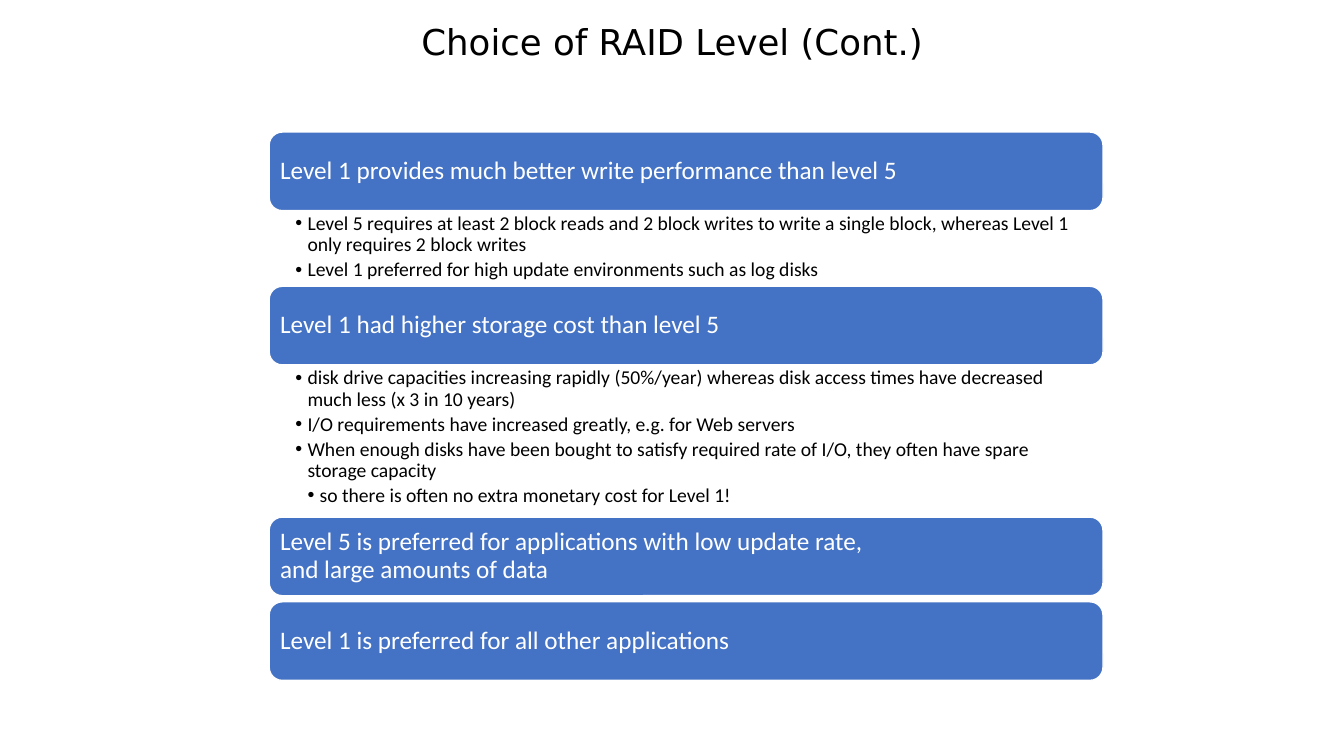
from pptx import Presentation
from pptx.dml.color import RGBColor as RGB
from pptx.enum.shapes import MSO_SHAPE as Shape
from pptx.enum.text import MSO_ANCHOR as Anchor, MSO_AUTO_SIZE as Fit, PP_ALIGN as Align
from pptx.oxml.ns import qn
from pptx.util import Inches, Pt
from lxml.etree import SubElement

# Content: each bar, then its bullets as (level, text)
TITLE = "Choice of RAID Level (Cont.)"
TOPICS = [
    ("Level 1 provides much better write performance than level 5", [
        (1, "Level 5 requires at least 2 block reads and 2 block writes to write "
            "a single block, whereas Level 1 only requires 2 block writes"),
        (1, "Level 1 preferred for high update environments such as log disks"),
    ]),
    ("Level 1 had higher storage cost than level 5", [
        (1, "disk drive capacities increasing rapidly (50%/year) whereas disk "
            "access times have decreased much less (x 3 in 10 years)"),
        (1, "I/O requirements have increased greatly, e.g. for Web servers"),
        (1, "When enough disks have been bought to satisfy required rate of I/O, "
            "they often have spare storage capacity"),
        (2, "so there is often no extra monetary cost for Level 1!"),
    ]),
    ("Level 5 is preferred for applications with low update rate,\n"
     "and large amounts of data", []),
    ("Level 1 is preferred for all other applications", []),
]


class Theme:
    blue, white, black = RGB(0x44, 0x72, 0xC4), RGB(255, 255, 255), RGB(0, 0, 0)
    title = dict(name="DejaVu Sans", size=Pt(25.4), color=black)
    bar = dict(name="Calibri", size=Pt(18), color=white)
    list = dict(name="Calibri", size=Pt(14), color=black)


# Layout, in inches
LEFT, TOP, WIDTH, BAR, GAP = 2.67, 1.31, 8.27, 0.78, 0.06
LISTS = [0.75, 1.51]
STEP = 0.12


def apply(item, values):
    for key, value in values.items():
        setattr(item, key, value)


def place(shape, left, top, width, height):
    sides = dict(left=left, top=top, width=width, height=height)
    apply(shape, {key: Inches(size) for key, size in sides.items()})


def frame(shape, anchor, pads):
    text = shape.text_frame
    apply(text, dict(word_wrap=True, auto_size=Fit.NONE, vertical_anchor=anchor))
    sides = ("margin_left", "margin_top", "margin_right", "margin_bottom")
    apply(text, {side: Inches(pad) for side, pad in zip(sides, pads)})
    return text


def write(para, text, font, align=Align.LEFT, after=0):
    para.text = text
    apply(para, dict(alignment=align, line_spacing=0.9,
                     space_before=Pt(0), space_after=Pt(after)))
    for run in para.runs:
        apply(run.font, {key: font[key] for key in ("name", "size")})
        run.font.color.rgb = font["color"]


def bullet(para, level):
    para.level = level
    props = para._p.get_or_add_pPr()
    props.set("marL", str(Inches(STEP * level)))
    props.set("indent", str(-Inches(STEP)))
    SubElement(props, qn("a:buChar")).set("char", "•")


deck = Presentation()
apply(deck, dict(slide_width=Inches(13.33), slide_height=Inches(7.5)))
slide = deck.slides.add_slide(deck.slide_layouts.get_by_name("Two Content"))
head, *bodies = slide.placeholders

# Title
place(head, 2.1, 0, 9.14, 0.88)
text = frame(head, Anchor.MIDDLE, (0.1, 0.05, 0.1, 0.05))
write(text.paragraphs[0], TITLE, Theme.title, Align.CENTER)

# Stack of bars and lists
slots = zip(bodies, LISTS)
top = TOP
for label, points in TOPICS:
    bar = slide.shapes.add_shape(Shape.ROUNDED_RECTANGLE, 0, 0, 0, 0)
    place(bar, LEFT, top, WIDTH, BAR)
    bar.shadow.inherit = False
    bar.fill.solid()
    bar.fill.fore_color.rgb = Theme.blue
    bar.line.color.rgb = Theme.white
    bar.line.width = Pt(1)
    # The rounded corners add a further 0.04 to the text inset
    text = frame(bar, Anchor.MIDDLE, (0.07, 0.07, 0.07, 0.07))
    write(text.paragraphs[0], label, Theme.bar)
    top += BAR
    if not points:
        top += GAP
        continue
    body, height = next(slots)
    place(body, LEFT, top, WIDTH, height)
    text = frame(body, Anchor.TOP, (0.26, 0.03, 0.14, 0.03))
    for i, (level, point) in enumerate(points):
        para = text.add_paragraph() if i else text.paragraphs[0]
        write(para, point, Theme.list, after=2.8)
        bullet(para, level)
    top += height

deck.save("out.pptx")
